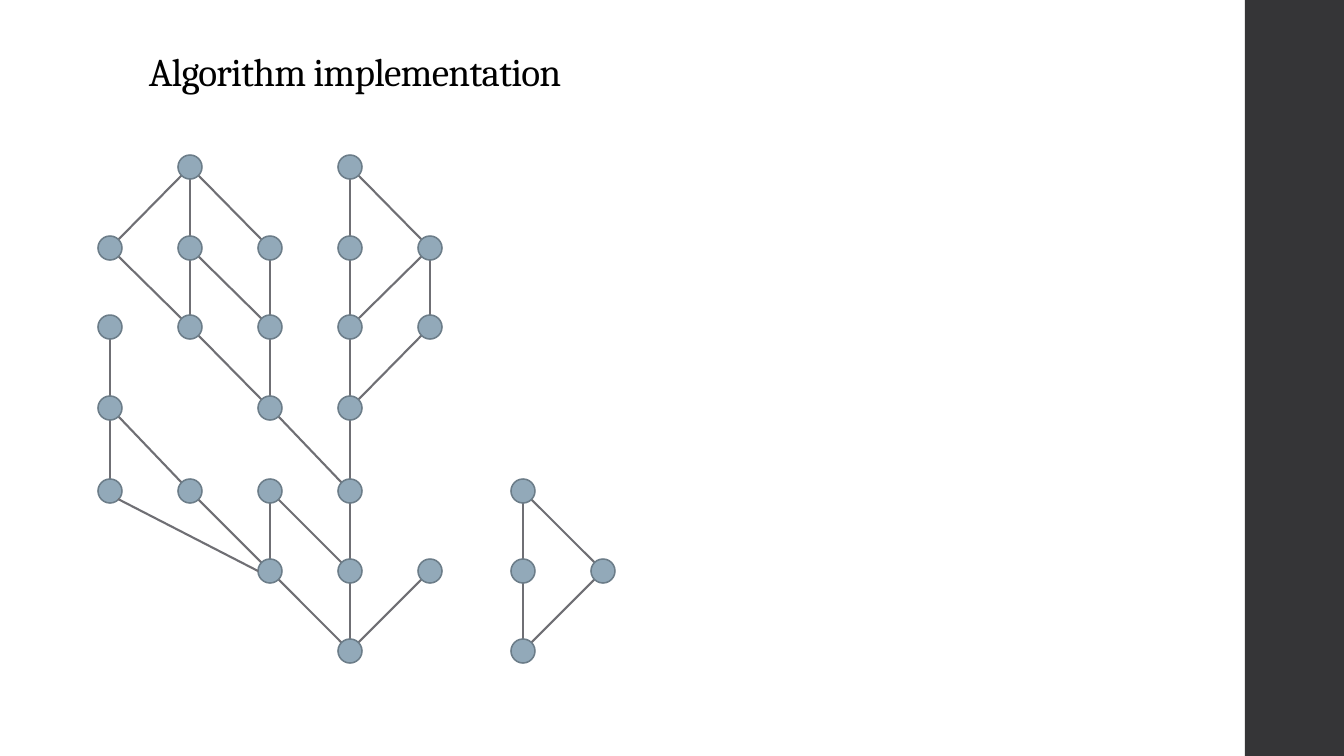
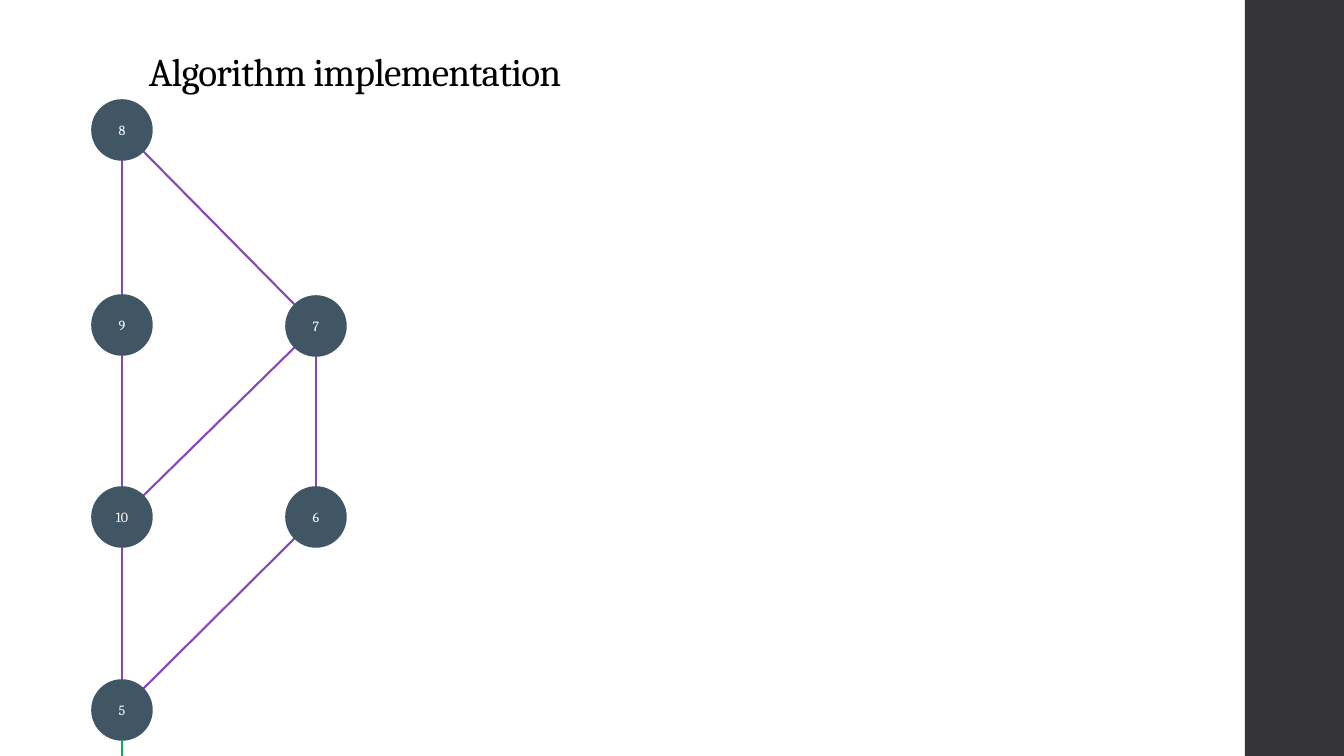
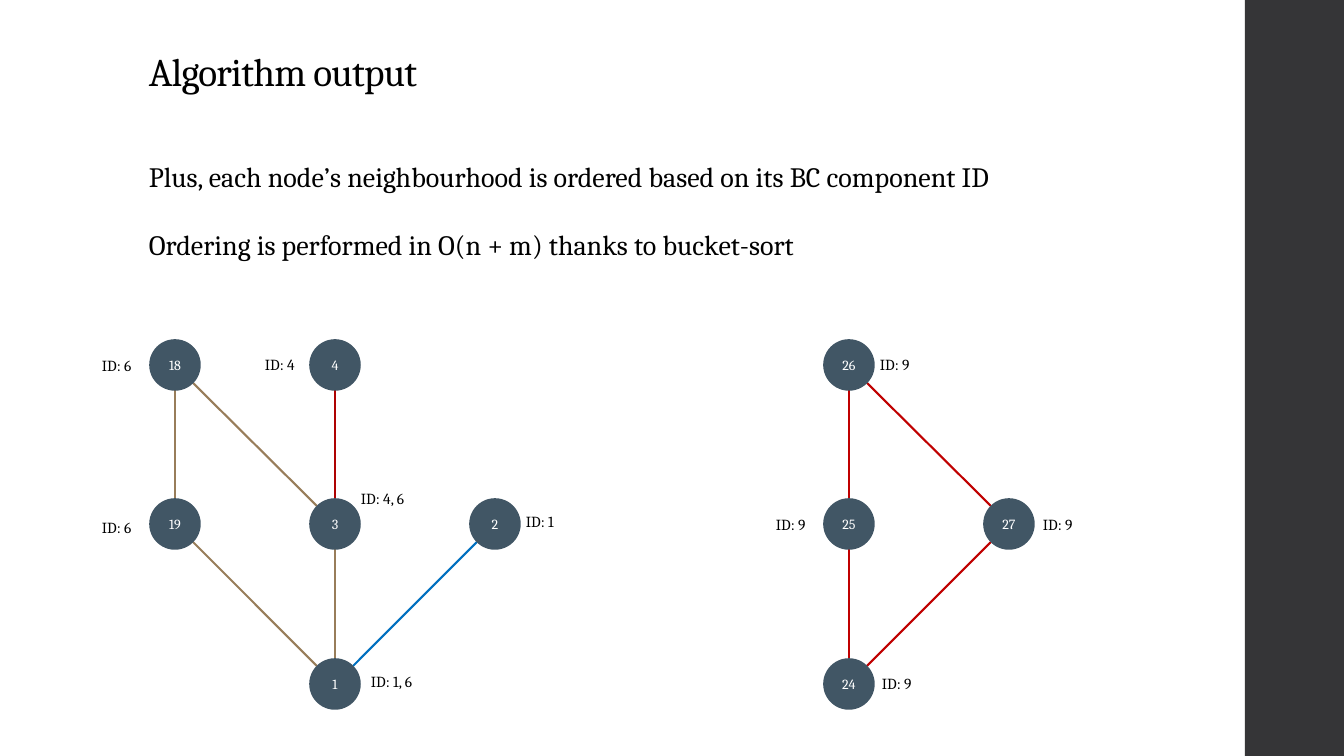
from math import atan2, cos, pi, sin

from lxml.etree import SubElement
from pptx import Presentation
from pptx.dml.color import RGBColor
from pptx.enum.shapes import MSO_CONNECTOR as CONNECTOR, MSO_SHAPE as SHAPE
from pptx.enum.text import MSO_ANCHOR as ANCHOR, MSO_AUTO_SIZE as AUTO_SIZE, PP_ALIGN as ALIGN
from pptx.oxml.ns import qn
from pptx.util import Emu, Pt

PX_PER_INCH = 100.8
WIDTH, HEIGHT = 1344, 756
FONT = "Cambria"
BLACK, WHITE, BAND = "000000", "FFFFFF", "353537"
SLATE, PALE, PALE_RIM, GREY = "415665", "92A9B9", "6C7D89", "6F6F74"
PURPLE, GREEN, BLUE, TAN = "8847B9", "00B050", "0070C0", "987D5A"
CRIMSON, RED = "AE0202", "C00000"


def px(length):
    return Emu(round(length * 914400 / PX_PER_INCH))


def rgb(value):
    return RGBColor.from_string(value)


def apply(target, **values):
    for name, value in values.items():
        setattr(target, name, value)


def write(frame, text, size, colour=BLACK, **paragraph_format):
    paragraph = frame.paragraphs[0]
    apply(paragraph, **paragraph_format)
    run = paragraph.add_run()
    run.text = text
    apply(run.font, name=FONT, size=Pt(size))
    run.font.color.rgb = rgb(colour)
    return run


def add_text(slide, text, box, size):
    frame = slide.shapes.add_textbox(*map(px, box)).text_frame
    apply(frame, word_wrap=True, auto_size=AUTO_SIZE.SHAPE_TO_FIT_TEXT)
    write(frame, text, size)


def add_filled(slide, preset, box, fill, rim=None):
    shape = slide.shapes.add_shape(preset, *map(px, box))
    shape.shadow.inherit = False
    shape.fill.solid()
    shape.fill.fore_color.rgb = rgb(fill)
    if rim:
        shape.line.color.rgb = rgb(rim)
        shape.line.width = Pt(1.1)
    else:
        shape.line.fill.background()
    return shape


def add_slide(deck, title):
    """Start a slide with the dark side band and the title."""
    slide = deck.slides.add_slide(deck.slide_layouts[6])
    add_filled(slide, SHAPE.RECTANGLE, (1245, 0, WIDTH - 1245, HEIGHT), BAND)
    frame = slide.shapes.add_textbox(*map(px, (139, 40, 1068, 60))).text_frame
    apply(frame, word_wrap=True, vertical_anchor=ANCHOR.BOTTOM)
    run = write(frame, title, 28, line_spacing=0.9)
    run._r.get_or_add_rPr().set("spc", "-50")
    return slide


def add_line(slide, start, end, colour):
    line = slide.shapes.add_connector(CONNECTOR.STRAIGHT, *map(px, (*start, *end)))
    line.line.color.rgb = rgb(colour)
    line.line.width = Pt(1.5)
    SubElement(line._element.spPr, qn("a:effectLst"))


def rim_point(centre, target, diameter):
    """Point on a node's rim, at the multiple of 45 degrees nearest to target."""
    (x, y), (to_x, to_y) = centre, target
    angle = round(atan2(to_y - y, to_x - x) / (pi / 4)) * pi / 4
    return round(x + diameter / 2 * cos(angle)), round(y + diameter / 2 * sin(angle))


def add_node(slide, centre, diameter, fill, rim, label=None):
    x, y = centre
    box = (x - diameter // 2, y - diameter // 2, diameter, diameter)
    node = add_filled(slide, SHAPE.FLOWCHART_CONNECTOR, box, fill, rim)
    if label:
        apply(node.text_frame, word_wrap=False, vertical_anchor=ANCHOR.MIDDLE)
        write(node.text_frame, label, 10, WHITE, alignment=ALIGN.CENTER)


def add_graph(slide, centres, edges, diameter, fill=SLATE, rim=SLATE, labelled=True):
    """Draw edges, given as {colour: "a-b c-d"}, and the nodes they join."""
    joined = set()
    for colour, pairs in edges.items():
        for pair in pairs.split():
            first, second = pair.split("-")
            joined.update((first, second))
            a, b = centres[first], centres[second]
            add_line(slide, rim_point(a, b, diameter), rim_point(b, a, diameter), colour)
    for name in sorted(joined):
        add_node(slide, centres[name], diameter, fill, rim, name if labelled else None)


def forest_slide(deck):
    slide = add_slide(deck, "Algorithm implementation")
    columns = dict(zip("ABCDEFG", (110, 190, 270, 350, 430, 523, 603)))
    rows = dict(zip("1234567", (167, 248, 327, 408, 491, 571, 651)))
    cells = {c + r: (x, y) for c, x in columns.items() for r, y in rows.items()}
    edges = {GREY: "B1-A2 B1-B2 B1-C2 A2-B3 B2-B3 B2-C3 C2-C3 B3-C4 C3-C4 C4-D5 "
                   "D1-D2 D1-E2 D2-D3 E2-D3 E2-E3 D3-D4 E3-D4 D4-D5 D5-D6 "
                   "A3-A4 A4-A5 A4-B5 B5-C6 C5-C6 C5-D6 C6-D7 D6-D7 E6-D7 "
                   "F5-F6 F5-G6 F6-F7 G6-F7"}
    diameter = 24
    add_graph(slide, cells, edges, diameter, PALE, PALE_RIM, labelled=False)
    # The long edge enters C6 from the side, level with A6
    add_line(slide, rim_point(cells["A5"], cells["C6"], diameter),
             rim_point(cells["C6"], cells["A6"], diameter), GREY)


def component_slide(deck):
    slide = add_slide(deck, "Algorithm implementation")
    left, right = 122, 316
    centres = {"8": (left, 130), "9": (left, 325), "10": (left, 517), "5": (left, 710),
               "7": (right, 326), "6": (right, 517)}
    edges = {PURPLE: "8-9 9-10 10-5 8-7 7-10 7-6 6-5"}
    diameter = 60
    add_graph(slide, centres, edges, diameter)
    bottom = (left, HEIGHT)
    add_line(slide, rim_point(centres["5"], bottom, diameter), bottom, GREEN)


def output_slide(deck):
    slide = add_slide(deck, "Algorithm output")
    statements = ("Plus, each node’s neighbourhood is ordered based on its BC component ID",
                  "Ordering is performed in O(n + m) thanks to bucket-sort")
    for index, statement in enumerate(statements):
        add_text(slide, statement, (139, 155 + 68 * index, 1000, 44), 20)

    top, middle, bottom = 365, 524, 684
    centres = {"18": (175, top), "4": (335, top), "26": (849, top),
               "19": (175, middle), "3": (335, middle), "2": (495, middle),
               "25": (849, middle), "27": (1009, middle),
               "1": (335, bottom), "24": (849, bottom)}
    edges = {TAN: "18-19 18-3 19-1 3-1", CRIMSON: "4-3", BLUE: "2-1",
             RED: "26-25 26-27 25-24 27-24"}
    add_graph(slide, centres, edges, 50)

    component_ids = (("6", 92, 351), ("6", 92, 513), ("4", 255, 350), ("4, 6", 351, 484),
                     ("1", 516, 507), ("1, 6", 361, 667), ("9", 870, 350),
                     ("9", 766, 510), ("9", 1033, 510), ("9", 872, 669))
    for ids, x, y in component_ids:
        add_text(slide, f"ID: {ids}", (x, y, 51 + 7 * len(ids), 29), 11)


def main():
    deck = Presentation()
    apply(deck, slide_width=px(WIDTH), slide_height=px(HEIGHT))
    for build in (forest_slide, component_slide, output_slide):
        build(deck)
    deck.save("out.pptx")


if __name__ == "__main__":
    main()
